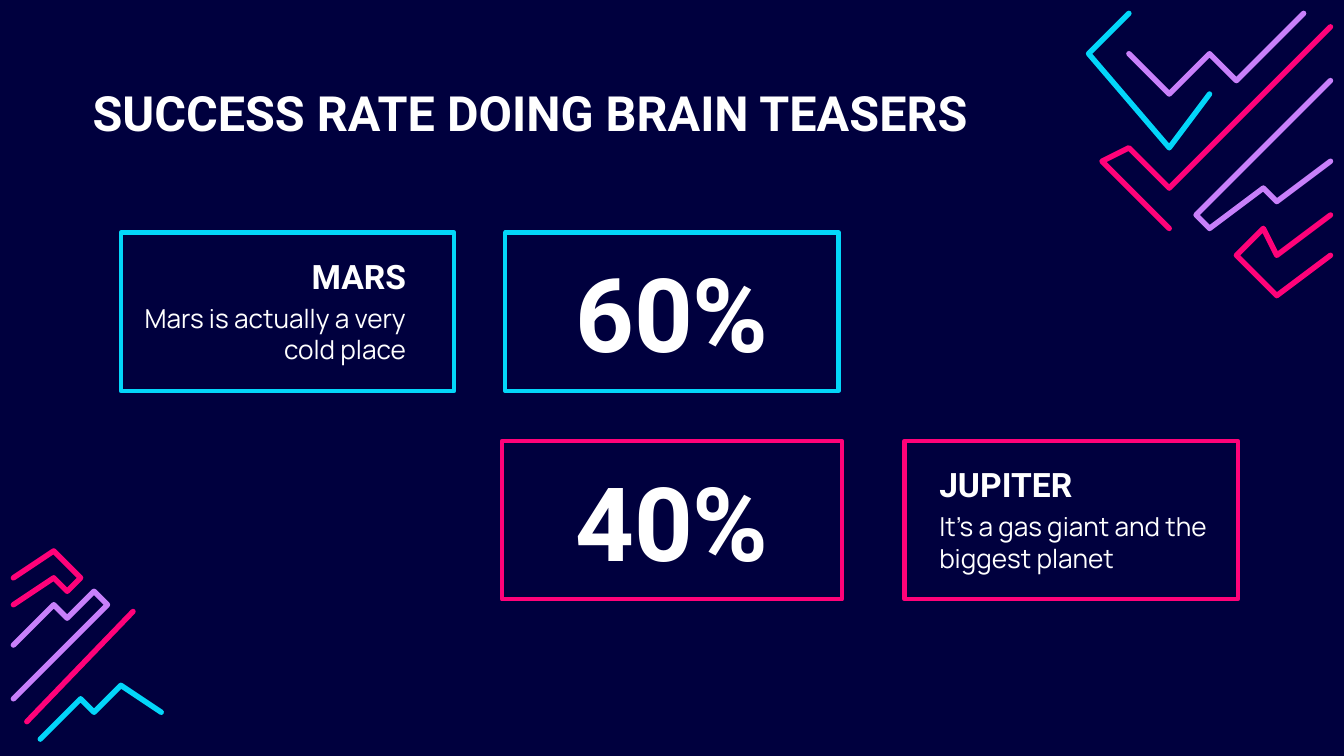
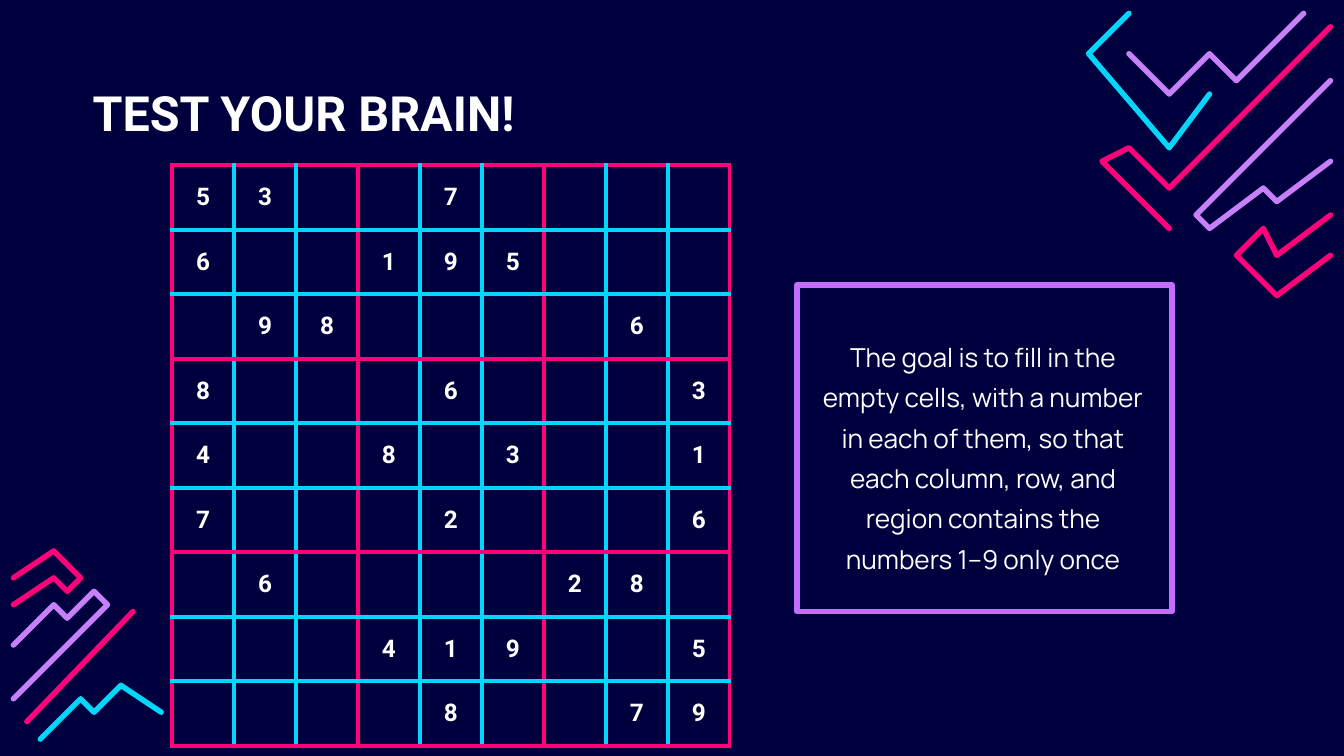
"""Build two brain teaser slides: success rates and a sudoku puzzle."""
import dataclasses

import lxml.etree
import pptx
import pptx.dml.color
import pptx.enum.shapes
import pptx.enum.text
import pptx.oxml.ns
import pptx.util

ALIGN = pptx.enum.text.PP_ALIGN
ANCHOR = pptx.enum.text.MSO_ANCHOR
UNIT = pptx.util.Inches(10) // 100
CARD_WIDTH, CARD_HEIGHT = 24.8, 11.8


@dataclasses.dataclass(frozen=True)
class Theme:
    """Colours, fonts and point sizes shared by the slides."""
    night: str = "00003E"
    white: str = "FFFFFF"
    pink: str = "FF0279"
    cyan: str = "03D6F9"
    violet: str = "C880FA"
    purple: str = "C36EFF"
    display: str = "Roboto"
    body: str = "Manrope"
    title_size: float = 26
    figure_size: float = 55
    heading_size: float = 18
    body_size: float = 14
    digit_size: float = 13
    spacing: float = 1.29
    art_line: float = 2.91
    card_line: float = 2.25
    goal_line: float = 3


THEME = Theme()

ART = [
    (THEME.pink, [(98.6, 18.7), (95.4, 22), (92.1, 18.7), (93.8, 17.1), (95.4, 18.7), (98.6, 15.5)]),
    (THEME.violet, [(98.6, 12.2), (95.4, 15.4), (93.8, 13.8), (90.5, 17.1), (88.9, 15.5), (98.6, 5.7)]),
    (THEME.pink, [(87.3, 17.1), (82.4, 12.2), (84, 10.6), (87.3, 13.8), (98.6, 2.4)]),
    (THEME.cyan, [(90.5, 7.3), (87.3, 10.6), (80.8, 4.1), (83.6, 1.2)]),
    (THEME.violet, [(84, 4.1), (87.3, 7.3), (90.5, 4), (92.1, 5.7), (96.6, 1.2)]),
    (THEME.pink, [(1.2, 42.9), (3.5, 40.6), (5.8, 42.9), (4.7, 44), (3.5, 42.9), (1.2, 45.2)]),
    (THEME.violet, [(1.2, 47.5), (3.5, 45.2), (4.7, 46.3), (7, 44), (8.1, 45.2), (1.2, 52.1)]),
    (THEME.cyan, [(11.6, 53.2), (9.3, 50.9), (7, 53.3), (5.8, 52.1), (2.7, 55.3)]),
]
ART_SLASH = [(9.9, 45.5), (2, 53.7)]

SUDOKU = [
    "53..7....",
    "6..195...",
    ".98....6.",
    "8...6...3",
    "4..8.3..1",
    "7...2...6",
    ".6....28.",
    "...419..5",
    "....8..79",
]


def rgb(value):
    """Return a colour object for a hex value."""
    return pptx.dml.color.RGBColor.from_string(value)


def place(*lengths):
    """Turn grid units, each a hundredth of the slide width, into lengths."""
    return [round(length * UNIT) for length in lengths]


def assign(target, values):
    """Set each attribute named in a dict of format values."""
    for name, value in values.items():
        setattr(target, name, value)


def stroke(shape, colour, weight):
    """Give a shape a line with round caps and joins, and no shadow."""
    shape.line.color.rgb = rgb(colour)
    shape.line.width = pptx.util.Pt(weight)
    outline = shape.line._get_or_add_ln()
    outline.set("cap", "rnd")
    lxml.etree.SubElement(outline, pptx.oxml.ns.qn("a:round"))


def zigzag(page, points, colour):
    """Draw an open angular line."""
    builder = page.shapes.build_freeform(*points[0], scale=UNIT)
    builder.add_line_segments(points[1:], close=False)
    shape = builder.convert_to_shape()
    shape.shadow.inherit = False
    shape.fill.background()
    stroke(shape, colour, THEME.art_line)


def slash(page, points, colour):
    """Draw one straight decorative line."""
    straight = pptx.enum.shapes.MSO_CONNECTOR.STRAIGHT
    line = page.shapes.add_connector(straight, *place(*points[0], *points[1]))
    stroke(line, colour, THEME.art_line)
    lxml.etree.SubElement(line._element.spPr, pptx.oxml.ns.qn("a:effectLst"))


def frame(page, area, colour, weight=THEME.card_line):
    """Draw a hollow rectangle."""
    rectangle = pptx.enum.shapes.MSO_SHAPE.RECTANGLE
    shape = page.shapes.add_shape(rectangle, *place(*area))
    shape.shadow.inherit = False
    shape.fill.background()
    stroke(shape, colour, weight)


def write(para, text, size, font=THEME.display, align=ALIGN.LEFT, spacing=None):
    """Write one styled span into a paragraph."""
    assign(para, {"alignment": align, "line_spacing": spacing})
    span = para.add_run()
    span.text = text
    assign(span.font, {"name": font, "size": pptx.util.Pt(size),
                       "bold": font == THEME.display})
    span.font.color.rgb = rgb(THEME.white)


def label(page, area, text, size, anchor=ANCHOR.TOP, **style):
    """Add a wrapping text box."""
    box = page.shapes.add_textbox(*place(*area))
    inset = UNIT
    assign(box.text_frame, {"word_wrap": True, "vertical_anchor": anchor,
                            "margin_left": inset, "margin_right": inset,
                            "margin_top": inset, "margin_bottom": inset})
    write(box.text_frame.paragraphs[0], text, size, **style)


def start_page(deck, title):
    """Add a slide with the corner art and a title."""
    page = deck.slides.add_slide(deck.slide_layouts[6])
    for colour, points in ART:
        zigzag(page, points, colour)
    slash(page, ART_SLASH, THEME.pink)
    label(page, (5.9, 3.9, 75.5, 5.1), title, THEME.title_size, spacing=THEME.spacing)
    return page


def planet(page, left, top, text_left, name, fact, colour, align):
    """Add a framed planet name with a fact below it."""
    frame(page, (left, top, CARD_WIDTH, CARD_HEIGHT), colour)
    label(page, (text_left, top + 1.3, 23.2, 3.9), name, THEME.heading_size,
          anchor=ANCHOR.MIDDLE, align=align)
    label(page, (text_left, top + 4.2, 23.2, 6.3), fact, THEME.body_size,
          font=THEME.body, align=align)


def figure(page, top, width, text, colour):
    """Add a framed large percentage centred on the slide."""
    area = (50 - width / 2, top, width, CARD_HEIGHT)
    label(page, area, text, THEME.figure_size, anchor=ANCHOR.MIDDLE, align=ALIGN.CENTER)
    frame(page, area, colour)


def border(cell, row, column):
    """Edge a cell in pink around each region and in cyan inside it."""
    edges = {"a:lnL": column, "a:lnR": column + 1, "a:lnT": row, "a:lnB": row + 1}
    qn = pptx.oxml.ns.qn
    properties = cell._tc.get_or_add_tcPr()
    for tag, index in edges.items():
        colour = THEME.cyan if index % 3 else THEME.pink
        line = lxml.etree.SubElement(properties, qn(tag),
                                     w=str(pptx.util.Pt(THEME.card_line)))
        fill = lxml.etree.SubElement(line, qn("a:solidFill"))
        lxml.etree.SubElement(fill, qn("a:srgbClr"), val=colour)


def sudoku(page, area, puzzle):
    """Add the puzzle as a table of equal cells."""
    count = len(puzzle)
    table = page.shapes.add_table(count, count, *place(*area)).table
    assign(table, {"first_row": False, "horz_banding": False})
    for row, digits in enumerate(puzzle):
        for column, digit in enumerate(digits):
            cell = table.cell(row, column)
            border(cell, row, column)
            cell.fill.background()
            cell.vertical_anchor = ANCHOR.MIDDLE
            if digit != ".":
                assign(cell, {"margin_top": UNIT, "margin_bottom": UNIT})
                write(cell.text_frame.paragraphs[0], digit, THEME.digit_size,
                      align=ALIGN.CENTER)


def main():
    """Build and save the deck."""
    deck = pptx.Presentation()
    assign(deck, {"slide_width": UNIT * 100, "slide_height": round(UNIT * 56.25)})
    fill = deck.slide_master.background.fill
    fill.solid()
    fill.fore_color.rgb = rgb(THEME.night)

    page = start_page(deck, "SUCCESS RATE DOING BRAIN TEASERS")
    planet(page, 9, 17.3, 8, "MARS", "Mars is actually a very cold place",
           THEME.cyan, ALIGN.RIGHT)
    figure(page, 17.3, CARD_WIDTH, "60%", THEME.cyan)
    figure(page, 32.8, 25.3, "40%", THEME.pink)
    planet(page, 67.3, 32.8, 68.9, "JUPITER", "It’s a gas giant and the biggest planet",
           THEME.pink, ALIGN.LEFT)

    page = start_page(deck, "TEST YOUR BRAIN!")
    sudoku(page, (12.8, 12.3, 41.5, 43.2), SUDOKU)
    label(page, (59.6, 23.7, 27.1, 19.5),
          "The goal is to fill in the empty cells, with a number in each of them, "
          "so that each column, row, and region contains the numbers 1–9 only once",
          THEME.body_size, font=THEME.body, align=ALIGN.CENTER, spacing=THEME.spacing)
    frame(page, (59.3, 21.2, 27.9, 24.3), THEME.purple, THEME.goal_line)

    deck.save("out.pptx")


if __name__ == "__main__":
    main()
